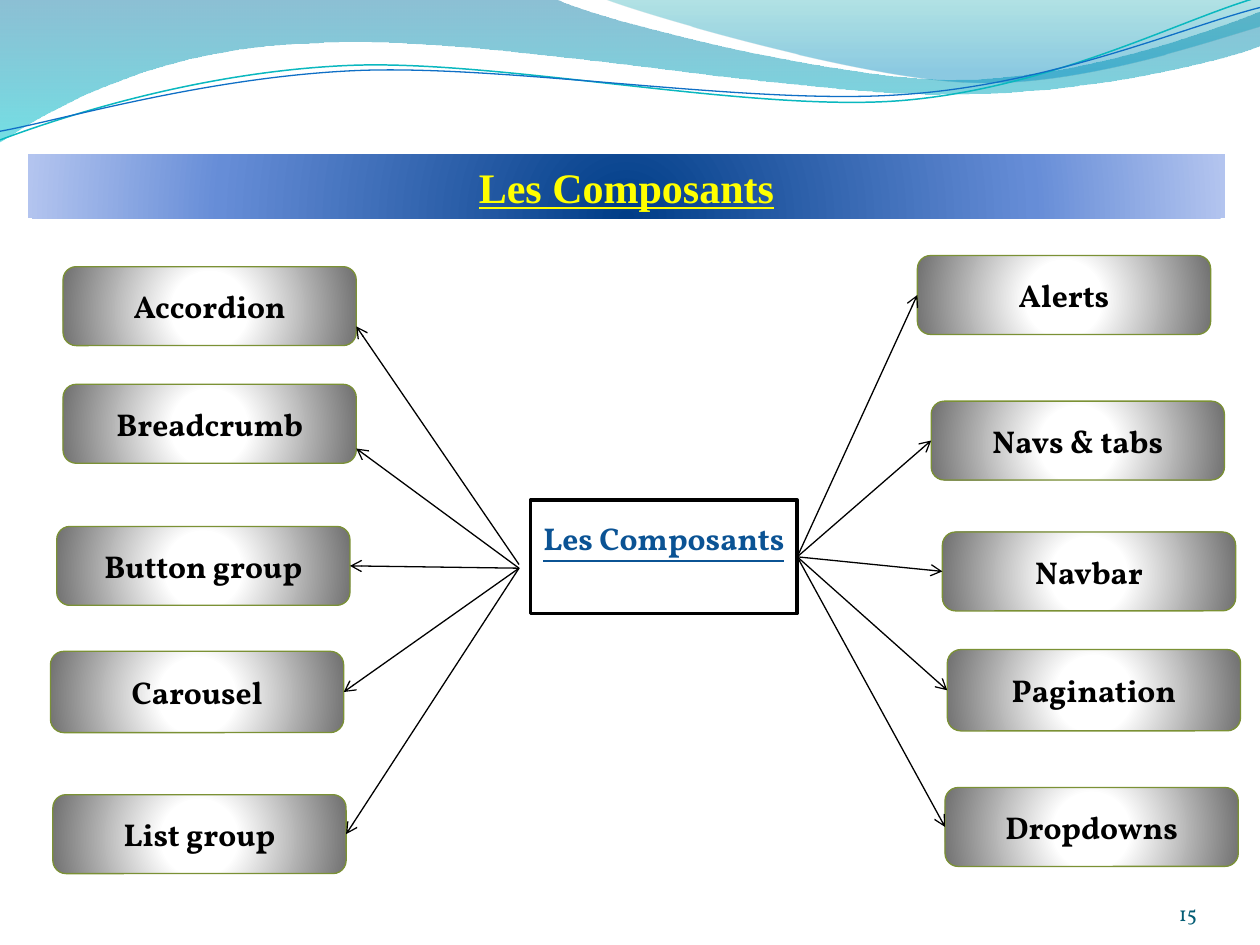
from math import cos, radians, sin
from lxml import etree
from pptx import Presentation
from pptx.dml.color import RGBColor
from pptx.enum.shapes import MSO_CONNECTOR, MSO_SHAPE
from pptx.enum.text import MSO_ANCHOR, PP_ALIGN
from pptx.oxml.ns import qn
from pptx.util import Pt

RECT, ROUND = MSO_SHAPE.RECTANGLE, MSO_SHAPE.ROUNDED_RECTANGLE
STRAIGHT = MSO_CONNECTOR.STRAIGHT
MIDDLE, BOTTOM = MSO_ANCHOR.MIDDLE, MSO_ANCHOR.BOTTOM
CENTER, RIGHT = PP_ALIGN.CENTER, PP_ALIGN.RIGHT
LEFT_SIDE, RIGHT_SIDE = 1, 3

# Content: text, left, top, height; left boxes add arrow start and,
# where the arrow misses the middle of the side, its end height
TITLE = "Les Composants"
PAGE = "15"
HUB = (303.2, 285.8, 152.4, 64.8)
BOX_W = 167.6
LEFT = [
    ("Accordion", 36, 152.4, 45.1, (296.6, 322.6), 186.5),
    ("Breadcrumb", 36, 219.6, 45.1, (296.6, 324.7), 256.3),
    ("Button group", 32.4, 300.8, 45.1, (296.6, 324.7), None),
    ("Carousel", 28.8, 372.2, 46.5, (296.6, 324.7), None),
    ("List group", 30.2, 454.1, 45.1, (296.6, 324.7), None),
]
RIGHTS = [
    ("Alerts", 524.2, 146, 45.1),
    ("Navs & tabs", 532.1, 229.2, 45.1),
    ("Navbar", 538.5, 304, 45.1),
    ("Pagination", 541.3, 371.2, 46.5),
    ("Dropdowns", 540, 450, 45.1),
]

THEME = {
    "head": "Times New Roman", "body": "Vollkorn",
    "title_size": 24, "box_size": 18, "page_size": 12,
    "yellow": "FFFF00", "blue": "0B5394", "page": "045D75",
    "black": "000000", "white": "FFFFFF", "edge": "7B9135",
    # Gradient stops: position, colour, opacity in percent
    "bar": [(0, "003D87", 100), (68, "668DD7", 100), (100, "B3C4EF", 100)],
    "box": [(0, "FFFFFF", 100), (25, "FFFFFF", 100), (100, "707070", 100)],
    "sea": [(0, "0074A1", 45), (100, "00C6CF", 55)],
    "sky": [(0, "00A1A9", 30), (80, "008BBF", 45)],
}
BAR_FOCUS = {"l": 50, "t": 130, "r": 50, "b": -30}
BOX_FOCUS = {"l": 10, "t": 110, "r": 10, "b": 100}

# Waves: start point, then lines (one point) and curves (three points)
BANDS = [
    ("sea", (0, 0), [
        [(317, -0.7)],
        [(343, 12), (478, 45.4), (546, 45.4)],
        [(614, 45.4), (690, 18.7), (720, 6.5)],
        [(720.7, 26)],
        [(708, 31.7), (626, 54.7), (537, 54)],
        [(448, 54), (275, 20.2), (185, 24.5)],
        [(93, 26), (33, 59.8), (-0.7, 81.4)]]),
    ("sky", (345, -0.7), [
        [(366.5, 8), (491, 44.6), (553.7, 46.8)],
        [(616.3, 49.7), (692, 23), (720, 15)],
        [(720, 0)]]),
]
TILT = -2.7
STROKES = [
    ("0AB8BF", 0.85, (0, 80), [
        [(34.6, 67), (113.8, 41), (199.4, 37.4)],
        [(284.4, 33.8), (427, 64), (513.4, 57.6)],
        [(599.8, 51), (675.4, 10.8), (718.6, -1.4)]]),
    ("0F6FC6", 0.75, (0, 75), [
        [(33.8, 69), (118, 44), (203.8, 40.3)],
        [(290.2, 36.7), (430, 60.5), (516.2, 54)],
        [(602, 48.2), (677.5, 15), (720, 4.3)]]),
]


def rgb(code):
    return RGBColor.from_string(code)


def shade(shape, stops, focus=None):
    """Fill with a gradient: round when a focus is given, else downward."""
    shape.fill.gradient()
    grad = shape.fill._xPr.find(qn("a:gradFill"))
    for child in list(grad):
        grad.remove(child)
    items = etree.SubElement(grad, qn("a:gsLst"))
    for place, code, alpha in stops:
        stop = etree.SubElement(items, qn("a:gs"), pos=str(place * 1000))
        color = etree.SubElement(stop, qn("a:srgbClr"), val=code)
        if alpha < 100:
            etree.SubElement(color, qn("a:alpha"), val=str(alpha * 1000))
    if focus:
        ring = etree.SubElement(grad, qn("a:path"))
        ring.set("path", "circle")
        etree.SubElement(ring, qn("a:fillToRect"),
                         {k: str(v * 1000) for k, v in focus.items()})
    else:
        etree.SubElement(grad, qn("a:lin"), ang="5400000", scaled="0")


def turn(dot, angle, mid=(359.3, 41.4)):
    """Turn a point clockwise about the middle of the strokes."""
    a = radians(angle)
    x, y = dot[0] - mid[0], dot[1] - mid[1]
    return mid[0] + x * cos(a) - y * sin(a), mid[1] + x * sin(a) + y * cos(a)


def wave(slide, start, parts, close, tilt=0):
    """Draw a freeform, joining each three points into one curve."""
    dots = [turn(dot, -tilt) for dot in [start] + sum(parts, [])]
    dots = [(Pt(x), Pt(y)) for x, y in dots]
    form = slide.shapes.build_freeform(*dots[0])
    form.add_line_segments(dots[1:], close=close)
    shape = form.convert_to_shape()
    shape.shadow.inherit = False
    shape.rotation = tilt
    lines = iter(list(shape._element.iter(qn("a:lnTo"))))
    for part in parts:
        group = [next(lines) for _ in part]
        if len(group) == 3:
            curve = etree.Element(qn("a:cubicBezTo"))
            group[0].addprevious(curve)
            for line in group:
                curve.append(line[0])
                line.getparent().remove(line)
    return shape


def write(shape, text, size, color, font="body", bold=True, under=None,
          align=CENTER, anchor=MIDDLE, pad=(7.2, 3.6, 7.2, 3.6)):
    frame = shape.text_frame
    frame.word_wrap = True
    frame.vertical_anchor = anchor
    (frame.margin_left, frame.margin_top,
     frame.margin_right, frame.margin_bottom) = map(Pt, pad)
    para = frame.paragraphs[0]
    para.alignment = align
    run = para.add_run()
    run.text = text
    run.font.name = THEME[font]
    run.font.size = Pt(THEME[size])
    run.font.bold = bold
    run.font.underline = under
    run.font.color.rgb = rgb(THEME[color])


def block(slide, kind, place, edge, width):
    shape = slide.shapes.add_shape(kind, *map(Pt, place))
    shape.shadow.inherit = False
    shape.line.color.rgb = rgb(THEME[edge])
    shape.line.width = Pt(width)
    return shape


def card(slide, text, left, top, height):
    shape = block(slide, ROUND, (left, top, BOX_W, height), "edge", 0.75)
    shade(shape, THEME["box"], BOX_FOCUS)
    write(shape, text, "box_size", "black")
    return shape


def arrow(slide, start, end):
    link = slide.shapes.add_connector(STRAIGHT, *map(Pt, start + end))
    link.line.color.rgb = rgb(THEME["black"])
    link.line.width = Pt(0.75)
    etree.SubElement(link.line._get_or_add_ln(), qn("a:tailEnd"), type="arrow")
    etree.SubElement(link._element.spPr, qn("a:effectLst"))
    return link


def main():
    deck = Presentation()
    deck.slide_width, deck.slide_height = Pt(720), Pt(540)
    slide = deck.slides.add_slide(deck.slide_layouts[5])

    # Waves along the top
    for name, start, parts in BANDS:
        band = wave(slide, start, parts, True)
        shade(band, THEME[name])
        band.line.fill.background()
    for code, width, start, parts in STROKES:
        curve = wave(slide, start, parts, False, TILT)
        curve.fill.background()
        curve.line.color.rgb = rgb(code)
        curve.line.width = Pt(width)

    # Title bar
    title = slide.shapes.title
    title.left, title.top, title.width, title.height = map(Pt, (16, 88.2, 684, 36.6))
    shade(title, THEME["bar"], BAR_FOCUS)
    write(title, TITLE, "title_size", "yellow", font="head", under=True)

    # Hub in the middle
    hub = block(slide, RECT, HUB, "black", 2)
    hub.fill.solid()
    hub.fill.fore_color.rgb = rgb(THEME["white"])
    write(hub, TITLE, "box_size", "blue", under=True, pad=(7.2, 3.6, 7.2, 25.2))

    # Boxes and arrows on the right
    x, y, w, h = HUB
    for text, left, top, height in RIGHTS:
        box = card(slide, text, left, top, height)
        link = arrow(slide, (x + w, y + h / 2), (left, top + height / 2))
        link.begin_connect(hub, RIGHT_SIDE)
        link.end_connect(box, LEFT_SIDE)

    # Boxes and arrows on the left
    for text, left, top, height, start, tip in LEFT:
        box = card(slide, text, left, top, height)
        link = arrow(slide, start, (left + BOX_W, tip or top + height / 2))
        if tip is None:
            link.end_connect(box, RIGHT_SIDE)

    # Page number
    page = slide.shapes.add_textbox(*map(Pt, (624, 500.4, 60, 28.8)))
    write(page, PAGE, "page_size", "page", bold=False, align=RIGHT,
          anchor=BOTTOM, pad=(0, 0, 0, 0))

    deck.save("out.pptx")


if __name__ == "__main__":
    main()
